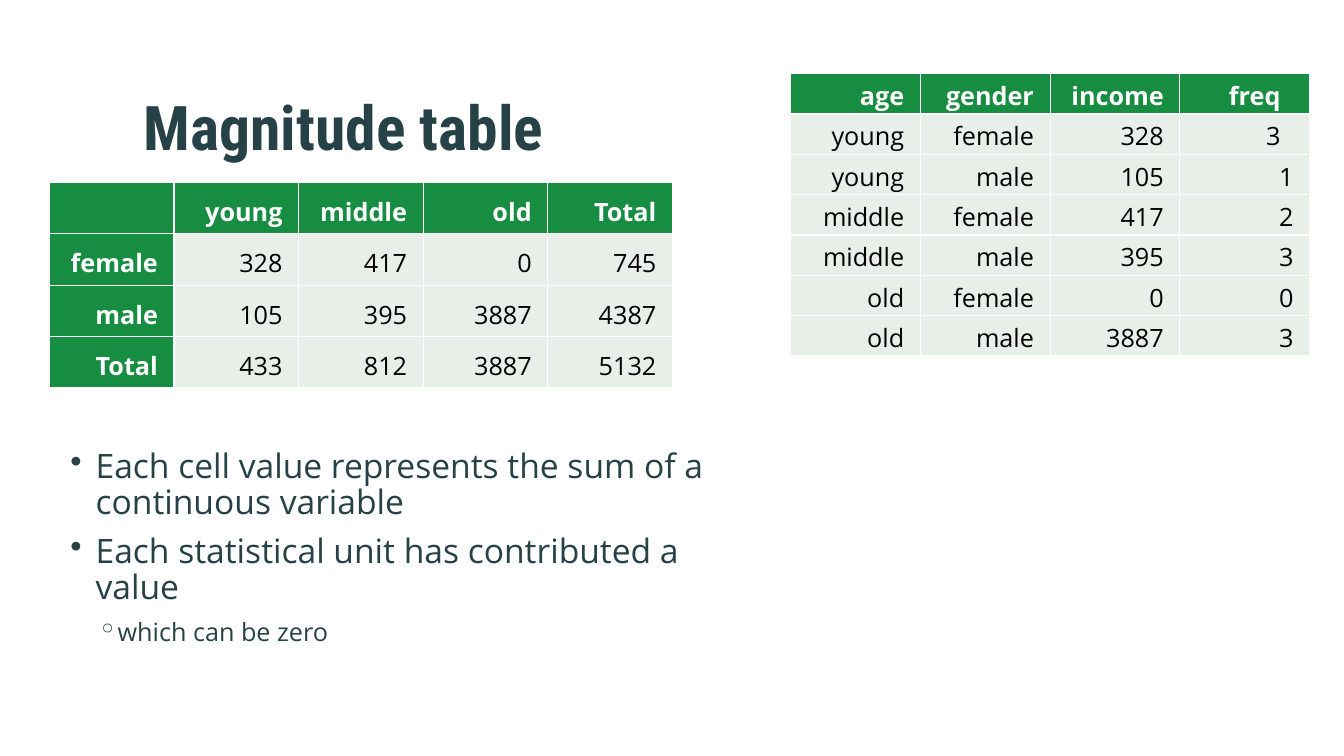
from lxml import etree
from pptx import Presentation
from pptx.dml.color import RGBColor
from pptx.enum.text import MSO_ANCHOR, PP_ALIGN
from pptx.oxml.ns import qn
from pptx.util import Inches, Pt

RIGHT = PP_ALIGN.RIGHT
MIDDLE, BOTTOM = MSO_ANCHOR.MIDDLE, MSO_ANCHOR.BOTTOM
GREEN = RGBColor(0x17, 0x8D, 0x41)
PALE = RGBColor(0xE8, 0xEF, 0xE9)
SLATE = RGBColor(0x27, 0x42, 0x47)
WHITE = RGBColor(0xFF, 0xFF, 0xFF)
BLACK = RGBColor(0, 0, 0)

TITLE_FORMAT = {"name": "Roboto Condensed", "size": Pt(44), "bold": True}
POINT_FORMAT = {"name": "Open Sans", "size": Pt(24)}
SMALL_FORMAT = {"name": "Open Sans", "size": Pt(18)}
CELL_MARGINS = {"margin_left": Inches(0.16), "margin_right": Inches(0.16),
                "margin_top": Inches(0.05), "margin_bottom": Inches(0.05)}

MAGNITUDES = [
    ["", "young", "middle", "old", "Total"],
    ["female", "328", "417", "0", "745"],
    ["male", "105", "395", "3887", "4387"],
    ["Total", "433", "812", "3887", "5132"],
]
UNITS = [
    ["age", "gender", "income", "freq"],
    ["young", "female", "328", "3"],
    ["young", "male", "105", "1"],
    ["middle", "female", "417", "2"],
    ["middle", "male", "395", "3"],
    ["old", "female", "0", "0"],
    ["old", "male", "3887", "3"],
]
POINTS = [
    (0, "Each cell value represents the sum of a continuous variable"),
    (0, "Each statistical unit has contributed a value"),
    (1, "which can be zero"),
]
POINT_LEVELS = [("•", 0.25, -0.25, 9, POINT_FORMAT),
                ("◦", 0.43, -0.16, 6, SMALL_FORMAT)]


def apply_format(target, values):
    """Set each named attribute on the target."""
    for name, value in values.items():
        setattr(target, name, value)


def write_text(paragraph, text, font_format, color):
    """Add one formatted run to a paragraph."""
    run = paragraph.add_run()
    run.text = text
    apply_format(run.font, font_format)
    run.font.color.rgb = color


def add_text_frame(slide, box):
    """Add a wrapping text box and return its frame."""
    frame = slide.shapes.add_textbox(*map(Inches, box)).text_frame
    frame.word_wrap = True
    return frame


def add_title(slide, box, text):
    """Place the slide title in its box."""
    frame = add_text_frame(slide, box)
    apply_format(frame, {"vertical_anchor": MIDDLE, "margin_top": 0})
    heading = frame.paragraphs[0]
    heading.line_spacing = 0.9
    write_text(heading, text, TITLE_FORMAT, SLATE)


def add_points(slide, box, points):
    """Place the bulleted points in their box."""
    frame = add_text_frame(slide, box)
    for index, (level, text) in enumerate(points):
        point = frame.add_paragraph() if index else frame.paragraphs[0]
        mark, left, hanging, after, font_format = POINT_LEVELS[level]
        properties = point._p.get_or_add_pPr()
        properties.set("marL", str(Inches(left)))
        properties.set("indent", str(Inches(hanging)))
        etree.SubElement(properties, qn("a:buChar")).set("char", mark)
        apply_format(point, {"level": level, "line_spacing": 0.9,
                             "space_after": Pt(after)})
        write_text(point, text, font_format, SLATE)


def add_borders(cell):
    """Draw a thin white line on every side of a cell."""
    properties = cell._tc.get_or_add_tcPr()
    for side in ("a:lnL", "a:lnR", "a:lnT", "a:lnB"):
        line = etree.SubElement(properties, qn(side), w=str(Pt(1)))
        fill = etree.SubElement(line, qn("a:solidFill"))
        etree.SubElement(fill, qn("a:srgbClr"), val=str(WHITE))


def add_data_table(slide, box, rows, anchor, row_headers=False):
    """Fill a box with an evenly divided table and return the table."""
    left, top, width, height = map(Inches, box)
    table = slide.shapes.add_table(len(rows), len(rows[0]), left, top, width, height).table
    for r, values in enumerate(rows):
        for c, value in enumerate(values):
            cell = table.cell(r, c)
            header = r == 0 or (row_headers and c == 0)
            add_borders(cell)
            apply_format(cell, {**CELL_MARGINS, "vertical_anchor": anchor})
            cell.fill.solid()
            cell.fill.fore_color.rgb = GREEN if header else PALE
            entry = cell.text_frame.paragraphs[0]
            entry.alignment = RIGHT
            if value:
                write_text(entry, value, {**SMALL_FORMAT, "bold": header},
                           WHITE if header else BLACK)
    return table


def build_magnitude_slide(presentation):
    """Build the slide on magnitude tables."""
    slide = presentation.slides.add_slide(presentation.slide_layouts[6])
    add_title(slide, (1.33, 0.6, 10.56, 1.43), "Magnitude table")
    add_data_table(slide, (0.49, 1.81, 6.18, 2.04), MAGNITUDES, BOTTOM, row_headers=True)
    add_points(slide, (0.6, 4.41, 6.91, 2.44), POINTS)
    units = add_data_table(slide, (7.84, 0.73, 5.15, 2.8), UNITS, MIDDLE)
    for row in (0, 1):
        units.cell(row, 3).margin_right = Inches(0.29)


def main():
    """Create and save the presentation."""
    presentation = Presentation()
    presentation.slide_width = Inches(13.33)
    presentation.slide_height = Inches(7.5)
    build_magnitude_slide(presentation)
    presentation.save("out.pptx")


if __name__ == "__main__":
    main()
